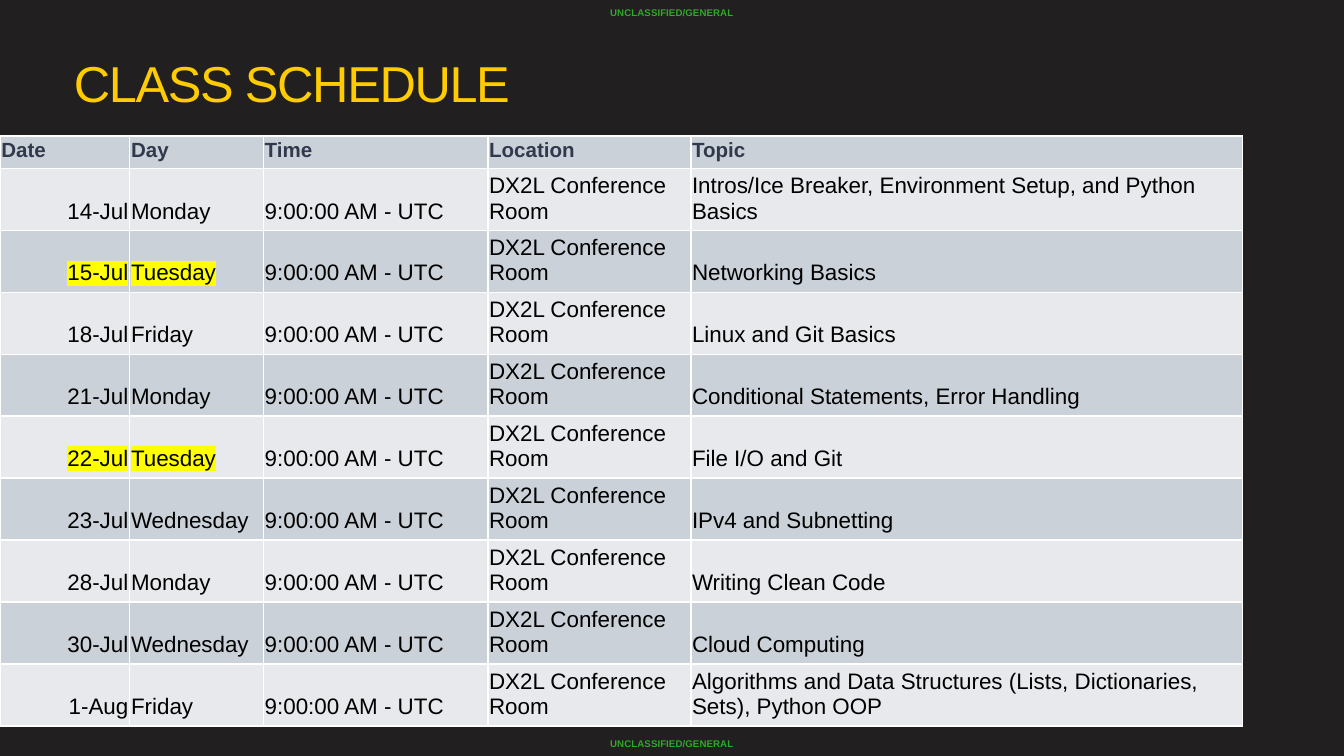
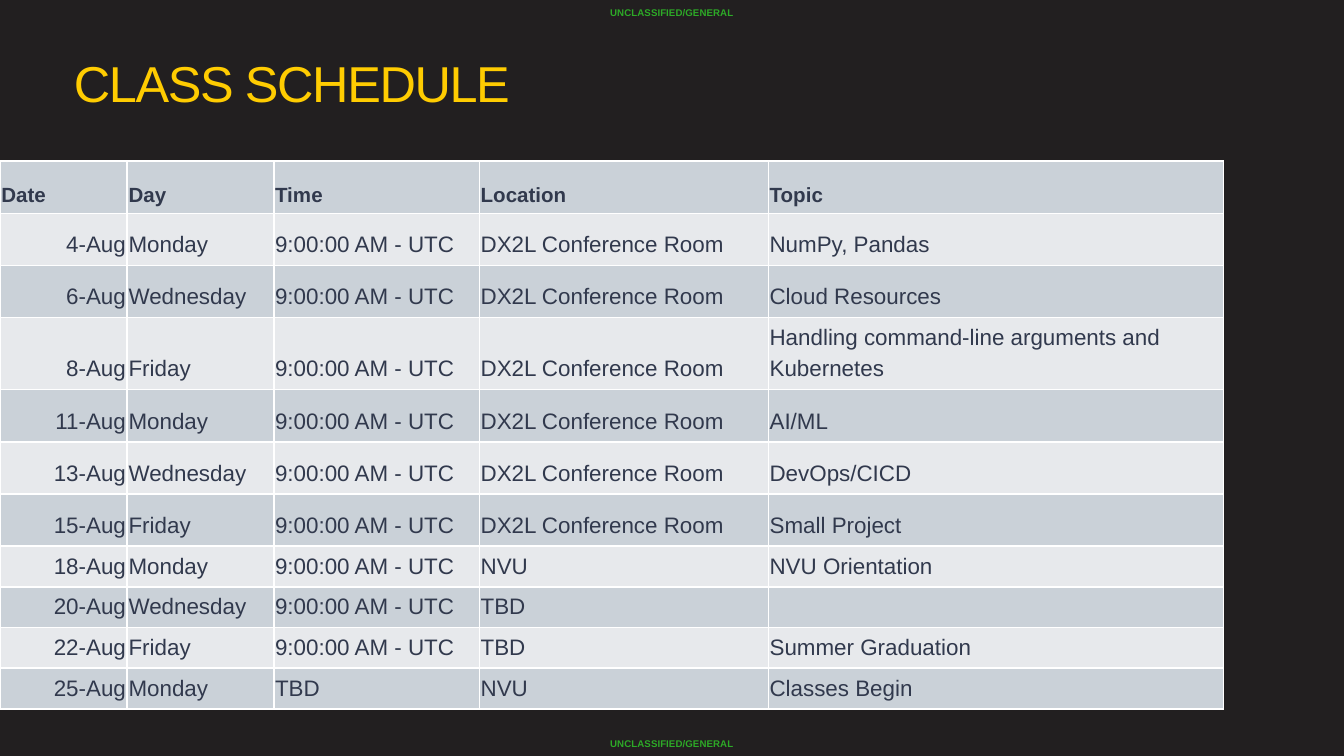
from dataclasses import dataclass

from lxml.etree import SubElement
from pptx import Presentation
from pptx.dml.color import RGBColor
from pptx.enum.text import MSO_ANCHOR, MSO_AUTO_SIZE, PP_ALIGN
from pptx.oxml.ns import qn
from pptx.util import Inches, Pt

WIDTH = Inches(10)
HEIGHT = WIDTH * 9 // 16
MARKING = "UNCLASSIFIED/GENERAL"
HEADINGS = ("Date", "Day", "Time", "Location", "Topic")
MORNING = "9:00:00 AM - UTC"
ROOM = "DX2L Conference Room"
CAMPUS = "NVU"
OPEN = "TBD"


@dataclass(frozen=True)
class Theme:
    """Colours and type sizes of the deck."""

    font: str = "Arial"
    background: str = "221F20"
    title: str = "FFCC01"
    marking: str = "2DAA27"
    slate: str = "31394D"
    black: str = "000000"
    dark_band: str = "CAD1D8"
    light_band: str = "E7E9EC"
    border: str = "FFFFFF"
    highlight: str = "FFFF00"
    title_size: float = 27
    marking_size: float = 5.25
    heading_size: float = 11
    entry_size: float = 12


THEME = Theme()


@dataclass(frozen=True)
class Schedule:
    """One class schedule; top, columns and rows are percentages of the slide."""

    top: float
    columns: tuple
    rows: tuple
    entries: tuple
    entry_color: str
    entry_spacing: float
    entry_bottom: float


def session(date, day, topic, location=ROOM, time=MORNING):
    """Return one schedule row in heading order."""
    return date, day, time, location, topic


JULY = Schedule(
    top=17.95,
    columns=(9.65, 9.95, 16.7, 15.1, 41.05),
    rows=(4.35,) + (8.19,) * 9,
    entry_color=THEME.black,
    entry_spacing=1.0,
    entry_bottom=0.05,
    entries=(
        session("14-Jul", "Monday", "Intros/Ice Breaker, Environment Setup, and Python Basics"),
        session("15-Jul", "Tuesday", "Networking Basics"),
        session("18-Jul", "Friday", "Linux and Git Basics"),
        session("21-Jul", "Monday", "Conditional Statements, Error Handling"),
        session("22-Jul", "Tuesday", "File I/O and Git"),
        session("23-Jul", "Wednesday", "IPv4 and Subnetting"),
        session("28-Jul", "Monday", "Writing Clean Code"),
        session("30-Jul", "Wednesday", "Cloud Computing"),
        session("1-Aug", "Friday",
                "Algorithms and Data Structures (Lists, Dictionaries, Sets), Python OOP"),
    ),
)

AUGUST = Schedule(
    top=21.33,
    columns=(9.47, 10.9, 15.3, 21.5, 33.87),
    rows=(6.9,) * 3 + (9.3,) + (6.9,) * 3 + (5,) * 4,
    entry_color=THEME.slate,
    entry_spacing=1.25,
    entry_bottom=0.06,
    entries=(
        session("4-Aug", "Monday", "NumPy, Pandas"),
        session("6-Aug", "Wednesday", "Cloud Resources"),
        session("8-Aug", "Friday", "Handling command-line arguments and Kubernetes"),
        session("11-Aug", "Monday", "AI/ML"),
        session("13-Aug", "Wednesday", "DevOps/CICD"),
        session("15-Aug", "Friday", "Small Project"),
        session("18-Aug", "Monday", f"{CAMPUS} Orientation", CAMPUS),
        session("20-Aug", "Wednesday", "", OPEN),
        session("22-Aug", "Friday", "Summer Graduation", OPEN),
        session("25-Aug", "Monday", "Classes Begin", CAMPUS, OPEN),
    ),
)


def apply_format(target, values):
    """Set each named attribute of target."""
    for name, value in values.items():
        setattr(target, name, value)


def across(percent):
    """Return a percentage of the slide width."""
    return int(percent * WIDTH / 100)


def down(percent):
    """Return a percentage of the slide height."""
    return int(percent * HEIGHT / 100)


def area(left, top, width, height):
    """Turn percentages of the slide into a position and size."""
    return {"left": across(left), "top": down(top),
            "width": across(width), "height": down(height)}


def write(paragraph, text, size, color, bold=False, **layout):
    """Write one formatted run and return it."""
    apply_format(paragraph, layout)
    run = paragraph.add_run()
    run.text = text
    apply_format(run.font, {"name": THEME.font, "size": Pt(size), "bold": bold})
    run.font.color.rgb = RGBColor.from_string(color)
    return run


def add_marking(slide, layout, top, anchor):
    """Place a classification marking on the shared layout."""
    marking = slide.shapes.add_textbox(**area(11.4, top, 77.2, 3.3))
    apply_format(marking.text_frame, {
        "word_wrap": True, "vertical_anchor": anchor,
        "margin_left": 0, "margin_right": 0,
        "margin_top": Inches(0.05), "margin_bottom": Inches(0.05)})
    write(marking.text_frame.paragraphs[0], MARKING, THEME.marking_size,
          THEME.marking, bold=True, alignment=PP_ALIGN.CENTER)
    layout.shapes.element.append(marking.element)


def prepare_layout(layout):
    """Set the background and title area that the slides share."""
    layout.background.fill.solid()
    layout.background.fill.fore_color.rgb = RGBColor.from_string(THEME.background)
    title = layout.placeholders[0]
    apply_format(title, area(4.5, 6, 67.5, 17.4))
    margins = dict.fromkeys(
        ("margin_left", "margin_right", "margin_top", "margin_bottom"), Inches(0.1))
    apply_format(title.text_frame, {
        **margins, "word_wrap": True, "auto_size": MSO_AUTO_SIZE.NONE,
        "vertical_anchor": MSO_ANCHOR.TOP})


def add_title(slide, text):
    """Fill the title placeholder."""
    run = write(slide.shapes.title.text_frame.paragraphs[0], text,
                THEME.title_size, THEME.title,
                alignment=PP_ALIGN.LEFT, line_spacing=0.9)
    run.font._element.set("spc", "-75")


def add_color(parent, tag, color):
    """Append a drawing element that holds one colour and return it."""
    element = SubElement(parent, qn(tag))
    SubElement(element, qn("a:srgbClr"), val=color)
    return element


def format_cell(cell, color, bottom):
    """Set the fill, margins and borders of a cell."""
    apply_format(cell, {
        "margin_left": Inches(0.01), "margin_right": Inches(0.01),
        "margin_top": Inches(0.01), "margin_bottom": Inches(bottom),
        "vertical_anchor": MSO_ANCHOR.BOTTOM})
    cell.fill.solid()
    cell.fill.fore_color.rgb = RGBColor.from_string(color)
    properties = cell._tc.get_or_add_tcPr()
    for position, side in enumerate(("a:lnL", "a:lnR", "a:lnT", "a:lnB")):
        border = SubElement(properties, qn(side), w=str(Pt(1)))
        add_color(border, "a:solidFill", THEME.border)
        properties.insert(position, border)


def highlight(run):
    """Mark a run with the highlight colour."""
    properties = run.font._element
    marker = add_color(properties, "a:highlight", THEME.highlight)
    properties.find(qn("a:latin")).addprevious(marker)


def fill_heading(cell, text):
    """Write a column heading."""
    format_cell(cell, THEME.dark_band, 0.05)
    write(cell.text_frame.paragraphs[0], text, THEME.heading_size,
          THEME.slate, bold=True)


def fill_entry(cell, text, schedule, band, is_date, is_marked):
    """Write one schedule entry."""
    format_cell(cell, band, schedule.entry_bottom)
    paragraph = cell.text_frame.paragraphs[0]
    if not text:
        ending = SubElement(paragraph._p, qn("a:endParaRPr"))
        ending.set("sz", str(int(THEME.entry_size * 100)))
        return
    run = write(paragraph, text, THEME.entry_size, schedule.entry_color,
                alignment=PP_ALIGN.RIGHT if is_date else PP_ALIGN.LEFT,
                line_spacing=schedule.entry_spacing)
    if is_marked:
        highlight(run)


def add_schedule(slide, schedule):
    """Draw a schedule as a banded table."""
    frame = slide.shapes.add_table(
        len(schedule.rows), len(HEADINGS),
        **area(0, schedule.top, sum(schedule.columns), sum(schedule.rows)))
    table = frame.table
    table.horz_banding = False
    for column, share in zip(table.columns, schedule.columns):
        column.width = across(share)
    for row, share in zip(table.rows, schedule.rows):
        row.height = down(share)
    for column, heading in enumerate(HEADINGS):
        fill_heading(table.cell(0, column), heading)
    for row, entry in enumerate(schedule.entries, start=1):
        band = THEME.light_band if row % 2 else THEME.dark_band
        for column, text in enumerate(entry):
            fill_entry(table.cell(row, column), text, schedule, band,
                       is_date=column == 0,
                       is_marked=column < 2 and entry[1] == "Tuesday")


def main():
    """Build the two schedule slides."""
    deck = Presentation()
    apply_format(deck, {"slide_width": WIDTH, "slide_height": HEIGHT})
    layout = deck.slide_layouts.get_by_name("Title Only")
    prepare_layout(layout)
    for schedule in (JULY, AUGUST):
        slide = deck.slides.add_slide(layout)
        add_title(slide, "CLASS SCHEDULE")
        add_schedule(slide, schedule)
    add_marking(slide, layout, 96.7, MSO_ANCHOR.BOTTOM)
    add_marking(slide, layout, 0, MSO_ANCHOR.TOP)
    deck.save("out.pptx")


if __name__ == "__main__":
    main()
